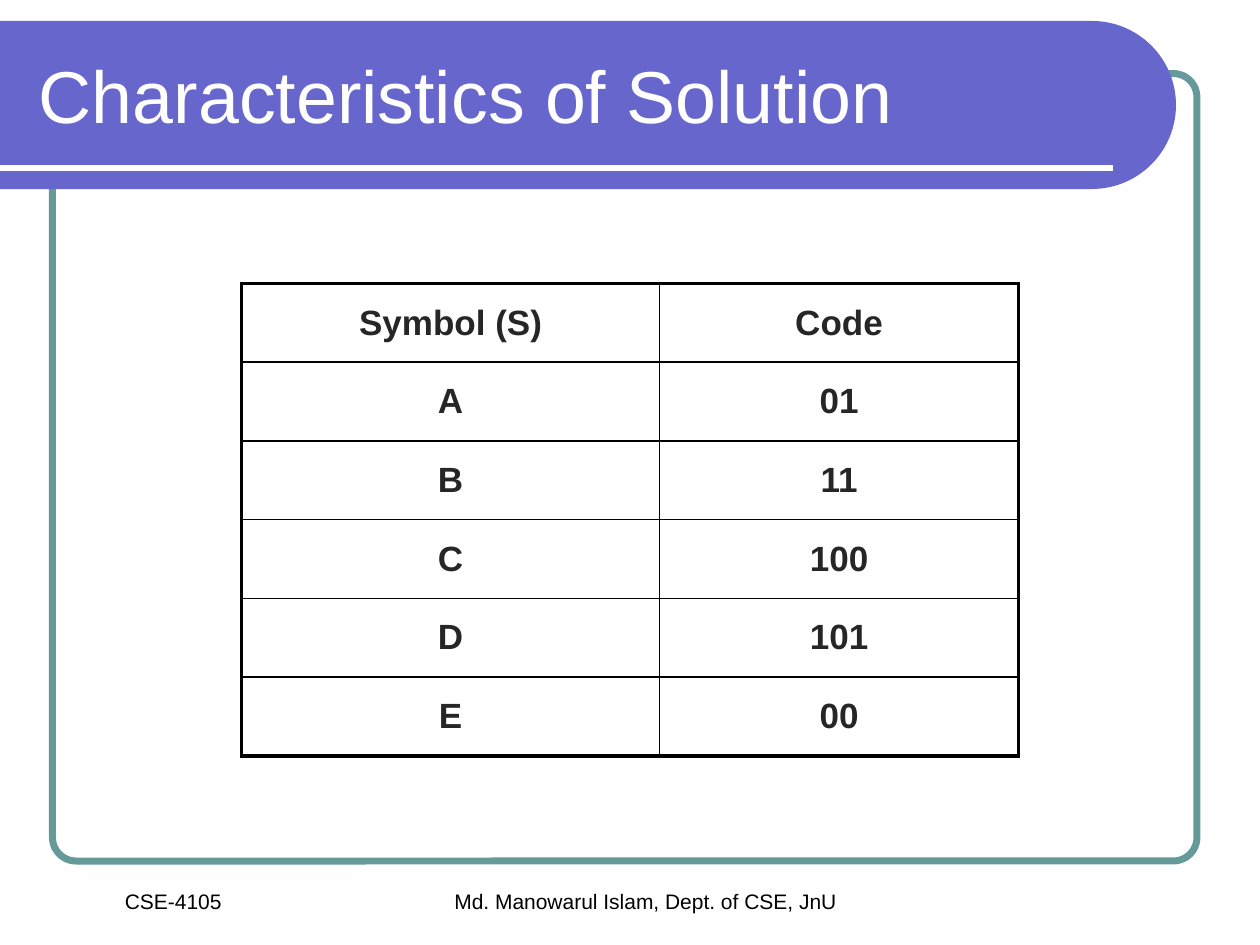
"""Build the slide with the table of symbols and their codes."""
from dataclasses import dataclass
from math import cos, pi, sin

from lxml import etree
from pptx import Presentation
from pptx.dml.color import RGBColor
from pptx.enum.shapes import MSO_CONNECTOR, MSO_SHAPE
from pptx.enum.text import MSO_ANCHOR, MSO_AUTO_SIZE, PP_ALIGN
from pptx.oxml.ns import qn
from pptx.util import Pt

ROUNDED = MSO_SHAPE.ROUNDED_RECTANGLE
STRAIGHT = MSO_CONNECTOR.STRAIGHT
MIDDLE, TOP = MSO_ANCHOR.MIDDLE, MSO_ANCHOR.TOP
LEFT, CENTER = PP_ALIGN.LEFT, PP_ALIGN.CENTER
FIXED = MSO_AUTO_SIZE.NONE


@dataclass(frozen=True)
class Theme:
    font: str = "Arial"
    white: str = "FFFFFF"
    black: str = "000000"
    banner: str = "6666CC"
    frame: str = "669999"
    cell: str = "262626"
    title_size: float = 42
    cell_size: float = 20
    footer_size: float = 12
    outer: float = 2.25
    inner: float = 1


def rgb(color):
    return RGBColor.from_string(color)


class Builder:
    def __init__(self, slide, theme):
        self.s = slide
        self.theme = theme

    def add_text(self, tf, text, size, color, align, anchor, bold=False):
        tf.word_wrap = True
        tf.vertical_anchor = anchor
        p = tf.paragraphs[0]
        p.alignment = align
        r = p.add_run()
        r.text = text
        r.font.name = self.theme.font
        r.font.size = Pt(size)
        r.font.bold = bold
        r.font.color.rgb = rgb(color)

    def frame(self, x, y, w, h, radius, weight):
        sp = self.s.shapes.add_shape(ROUNDED, Pt(x), Pt(y), Pt(w), Pt(h))
        sp.adjustments[0] = radius
        sp.shadow.inherit = False
        sp.fill.background()
        sp.line.color.rgb = rgb(self.theme.frame)
        sp.line.width = Pt(weight)

    def banner(self, top, straight, radius, steps=60):
        angles = [pi * (i / steps - 0.5) for i in range(steps + 1)]
        arc = [(straight + radius * cos(a), top + radius * (1 + sin(a))) for a in angles]
        fb = self.s.shapes.build_freeform(0, Pt(top))
        points = [*arc, (0, top + 2 * radius)]
        fb.add_line_segments([(Pt(x), Pt(y)) for x, y in points], close=True)
        sp = fb.convert_to_shape()
        sp.shadow.inherit = False
        sp.fill.solid()
        sp.fill.fore_color.rgb = rgb(self.theme.banner)
        sp.line.fill.background()

    def rule(self, x1, x2, y, weight):
        sp = self.s.shapes.add_connector(STRAIGHT, Pt(x1), Pt(y), Pt(x2), Pt(y))
        sp.line.color.rgb = rgb(self.theme.white)
        sp.line.width = Pt(weight)
        etree.SubElement(sp.element.spPr, qn("a:effectLst"))

    def footer(self, text, x, y, w, h):
        sp = self.s.shapes.add_textbox(Pt(x), Pt(y), Pt(w), Pt(h))
        self.add_text(sp.text_frame, text, self.theme.footer_size, self.theme.black, CENTER, TOP)

    def title(self, text, x, y, w, h):
        sp = self.s.shapes.title
        sp.left, sp.top, sp.width, sp.height = Pt(x), Pt(y), Pt(w), Pt(h)
        self.s.shapes.element.append(sp.element)
        sp.text_frame.auto_size = FIXED
        self.add_text(sp.text_frame, text, self.theme.title_size, self.theme.white, LEFT, MIDDLE)

    def borders(self, cell, weights):
        tc_pr = cell._tc.get_or_add_tcPr()
        for side, weight in weights.items():
            ln = etree.SubElement(tc_pr, qn(f"a:ln{side}"), w=str(Pt(weight)))
            fill = etree.SubElement(ln, qn("a:solidFill"))
            etree.SubElement(fill, qn("a:srgbClr"), val=self.theme.black)

    def table(self, rows, x, y, widths, row_height):
        t = self.theme
        last_row, last_col = len(rows) - 1, len(widths) - 1
        tbl = self.s.shapes.add_table(
            len(rows), len(widths), Pt(x), Pt(y), Pt(sum(widths)), Pt(row_height * len(rows))
        ).table
        tbl.first_row = tbl.horz_banding = False
        for column, width in zip(tbl.columns, widths):
            column.width = Pt(width)
        for i, values in enumerate(rows):
            tbl.rows[i].height = Pt(row_height)
            for j, text in enumerate(values):
                cell = tbl.cell(i, j)
                edges = {"L": j == 0, "R": j == last_col, "T": i == 0, "B": i == last_row}
                self.borders(cell, {k: t.outer if e else t.inner for k, e in edges.items()})
                cell.fill.background()
                cell.vertical_anchor = MIDDLE
                self.add_text(cell.text_frame, text, t.cell_size, t.cell, CENTER, MIDDLE, True)


def main():
    prs = Presentation()
    prs.slide_width, prs.slide_height = Pt(720), Pt(540)
    b = Builder(prs.slides.add_slide(prs.slide_layouts[5]), Theme())
    b.frame(30, 42, 654, 450, radius=0.03, weight=4)
    b.banner(top=12, straight=624, radius=48)
    b.rule(0, 636, 96, weight=3)
    b.footer("Md. Manowarul Islam, Dept. of CSE, JnU", 126, 504, 486, 44)
    b.footer("CSE-4105", 18, 504, 162, 22)
    b.title("Characteristics of Solution", 15, 18, 631.5, 72)
    codes = [
        ("Symbol (S)", "Code"),
        ("A", "01"),
        ("B", "11"),
        ("C", "100"),
        ("D", "101"),
        ("E", "00"),
    ]
    b.table(codes, 138, 162, widths=(239, 205), row_height=45)
    prs.save("out.pptx")


if __name__ == "__main__":
    main()
